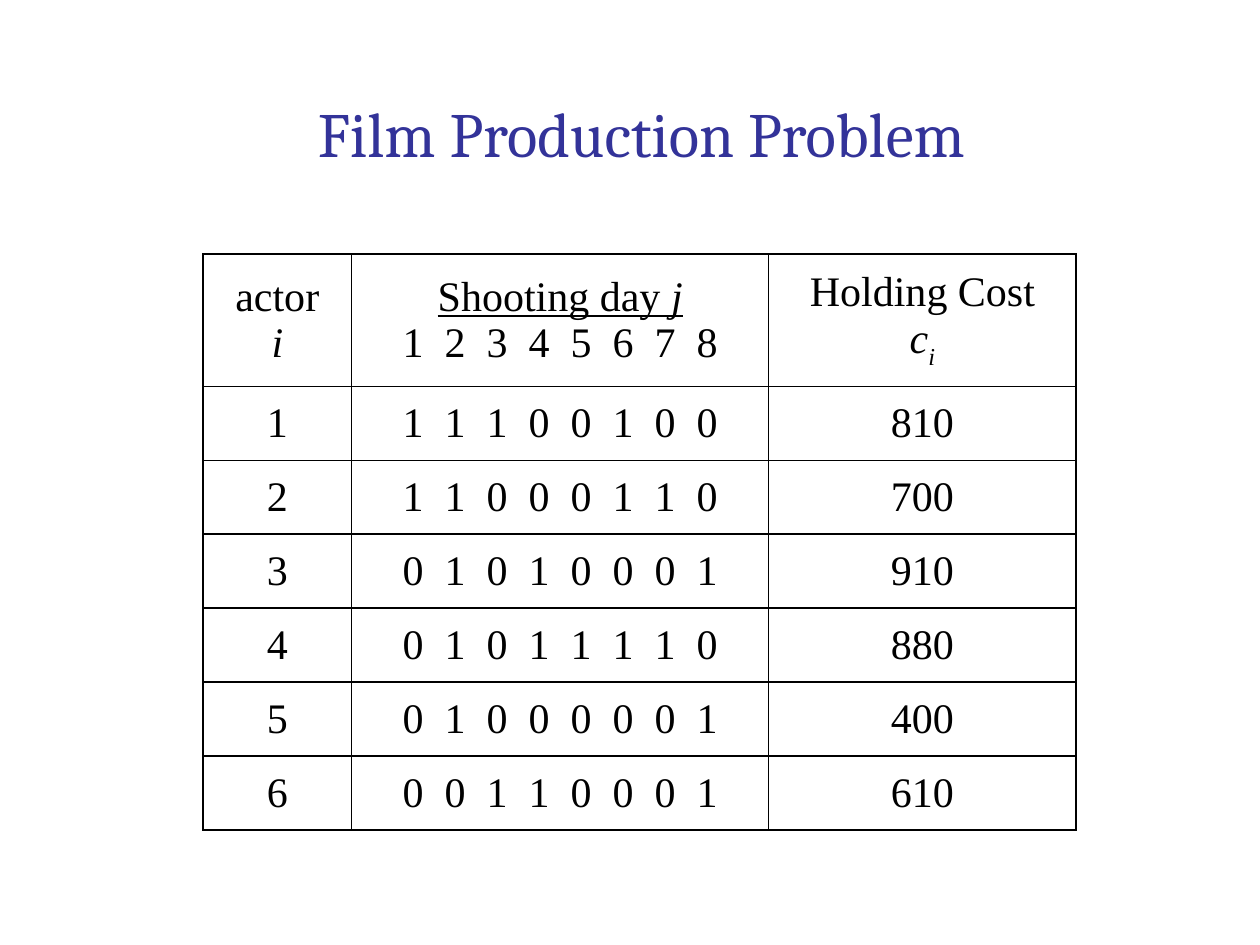
from dataclasses import dataclass

from lxml.etree import SubElement
from pptx import Presentation
from pptx.dml.color import RGBColor
from pptx.enum.text import MSO_ANCHOR, PP_ALIGN
from pptx.oxml.ns import qn
from pptx.util import Pt

BLACK = RGBColor(0x00, 0x00, 0x00)
INDIGO = RGBColor(0x33, 0x33, 0x99)
HANGING = Pt(27)
TITLE_ONLY = 5


@dataclass
class Span:
    text: str
    italic: bool = False
    underline: bool = False
    subscript: bool = False


@dataclass
class Actor:
    days: str
    holding_cost: int


# Content
HEADER = [
    [[Span("actor")], [Span("i", italic=True)]],
    [[Span("Shooting day ", underline=True), Span("j", italic=True, underline=True)],
     [Span("  ".join("12345678"))]],
    [[Span("Holding Cost")],
     [Span("c", italic=True), Span("i", italic=True, subscript=True)]],
]
ACTORS = [
    Actor("11100100", 810),
    Actor("11000110", 700),
    Actor("01010001", 910),
    Actor("01011110", 880),
    Actor("01000001", 400),
    Actor("00110001", 610),
]
COLUMN_WIDTHS = [85, 238.3, 175.7]
ROW_HEIGHTS = [75.6] + [42.24] * len(ACTORS)


def add_span(para, span: Span, size: float, font: str, color: RGBColor) -> None:
    run = para.add_run()
    run.text = span.text
    run.font.size = Pt(size)
    run.font.name = font
    run.font.color.rgb = color
    run.font.italic = span.italic
    run.font.underline = span.underline
    if span.subscript:
        run.font._element.set("baseline", "-30000")


def add_borders(cell) -> None:
    properties = cell._tc.get_or_add_tcPr()
    for index, side in enumerate(("lnL", "lnR", "lnT", "lnB")):
        line = SubElement(properties, qn(f"a:{side}"), w=str(Pt(1)))
        fill = SubElement(line, qn("a:solidFill"))
        SubElement(fill, qn("a:srgbClr"), val=str(BLACK))
        properties.insert(index, line)  # borders come before the fill


def fill_cell(cell, lines: list[list[Span]]) -> None:
    cell.vertical_anchor = MSO_ANCHOR.MIDDLE
    cell.fill.background()
    add_borders(cell)
    frame = cell.text_frame
    for number, spans in enumerate(lines):
        para = frame.add_paragraph() if number else frame.paragraphs[0]
        para.alignment = PP_ALIGN.CENTER
        indents = para._p.get_or_add_pPr()
        indents.set("marL", str(HANGING))
        indents.set("indent", str(-HANGING))
        for span in spans:
            add_span(para, span, 24, "Times New Roman", BLACK)


def add_schedule(page) -> None:
    rows = [HEADER] + [
        [[[Span(str(number))]],
         [[Span("  ".join(actor.days))]],
         [[Span(str(actor.holding_cost))]]]
        for number, actor in enumerate(ACTORS, start=1)
    ]
    table = page.shapes.add_table(
        len(rows), len(COLUMN_WIDTHS), Pt(116), Pt(145.2),
        Pt(sum(COLUMN_WIDTHS)), Pt(sum(ROW_HEIGHTS))).table
    table.first_row = False
    table.horz_banding = False
    for column, width in zip(table.columns, COLUMN_WIDTHS):
        column.width = Pt(width)
    for row, height, contents in zip(table.rows, ROW_HEIGHTS, rows):
        row.height = Pt(height)
        for cell, lines in zip(row.cells, contents):
            fill_cell(cell, lines)


def add_title(page, text: str) -> None:
    title = page.shapes.title
    title.left, title.top = Pt(59.8), Pt(34.6)
    title.width, title.height = Pt(613.4), Pt(66.2)
    frame = title.text_frame
    frame.vertical_anchor = MSO_ANCHOR.BOTTOM
    para = frame.paragraphs[0]
    para.alignment = PP_ALIGN.CENTER
    add_span(para, Span(text), 36, "Cambria", INDIGO)


def main() -> None:
    deck = Presentation()
    deck.slide_width, deck.slide_height = Pt(720), Pt(540)
    page = deck.slides.add_slide(deck.slide_layouts[TITLE_ONLY])
    add_schedule(page)
    add_title(page, "Film Production Problem")
    deck.save("out.pptx")


if __name__ == "__main__":
    main()
